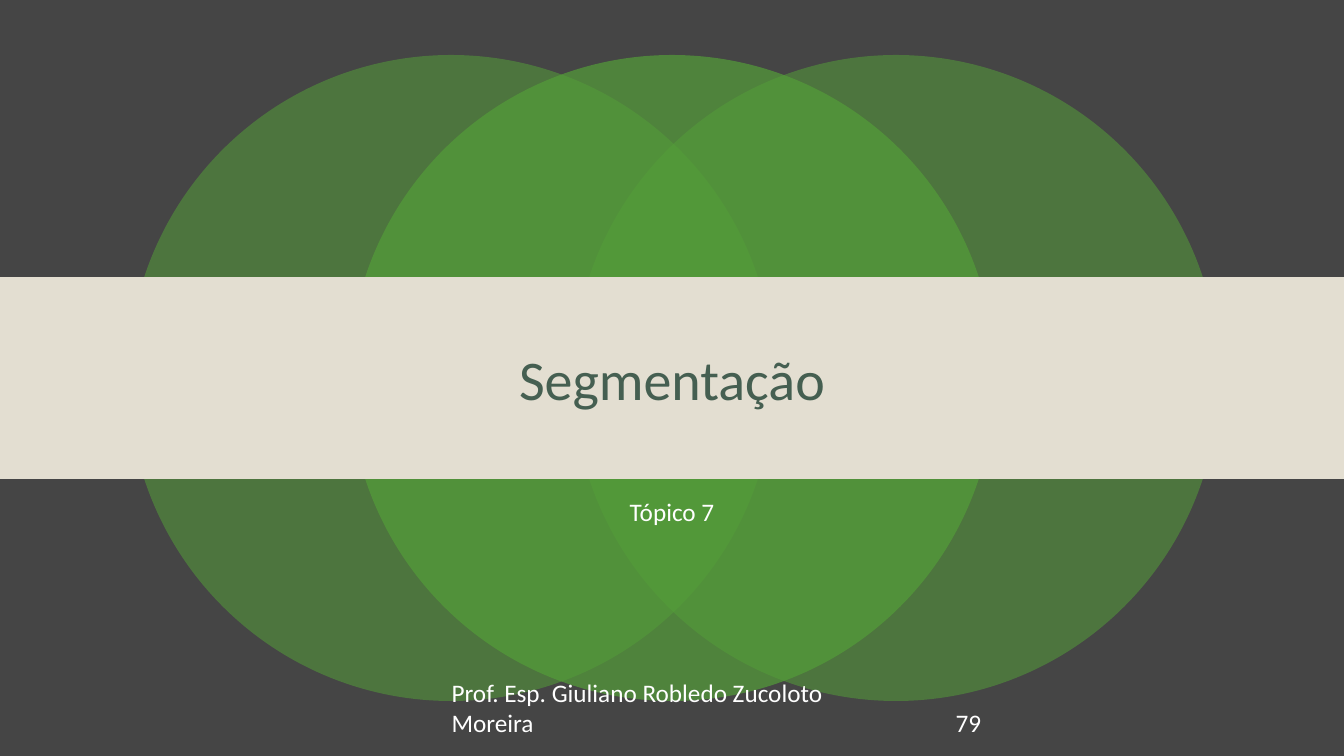
from lxml import etree
from pptx import Presentation
from pptx import util as u
from pptx.dml.color import RGBColor
from pptx.enum import shapes, text
from pptx.oxml.ns import qn

PX = 914400 / 67.2
SLIDE = (1344, 756)
DARK, GREEN, SAND, PINE, WHITE = "454545", "549E39", "E3DED1", "455F51", "FFFFFF"

CIRCLE_TOP, CIRCLE_SIZE = 55, 646
CIRCLES = [(128, 55), (573, 55), (349, 70)]  # left, opacity in percent
BAND = (0, 277, 1344, 202)

LEFT, CENTER = text.PP_ALIGN.LEFT, text.PP_ALIGN.CENTER
TOP, MIDDLE, BOTTOM = (text.MSO_ANCHOR.TOP, text.MSO_ANCHOR.MIDDLE,
                       text.MSO_ANCHOR.BOTTOM)
TEXTS = [
    ("Tópico 7", (168, 496, 1008, 84), 27, WHITE, TOP,
     {"alignment": CENTER, "line_spacing": 0.9}),
    ("Segmentação", (168, 306, 1008, 152), 60, PINE, MIDDLE,
     {"alignment": CENTER, "line_spacing": 0.9}),
    ("Prof. Esp. Giuliano Robledo Zucoloto Moreira", (445, 701, 453, 40),
     27, WHITE, BOTTOM, {"alignment": LEFT}),
    ("79", (949, 701, 302, 40), 27, WHITE, BOTTOM, {"alignment": LEFT}),
]


def emu(lengths):
    return [u.Emu(round(length * PX)) for length in lengths]


def paint(fill, color):
    fill.solid()
    fill.fore_color.rgb = RGBColor.from_string(color)


def add_plain_shape(page, kind, frame, color, opacity=100):
    shape = page.shapes.add_shape(kind, *emu(frame))
    shape.shadow.inherit = False
    shape.line.fill.background()
    paint(shape.fill, color)
    if opacity < 100:
        tone = shape.fill._xPr.find(".//" + qn("a:srgbClr"))
        etree.SubElement(tone, qn("a:alpha"), val=str(opacity * 1000))


def add_label(page, words, frame, size, color, anchor, layout):
    box = page.shapes.add_textbox(*emu(frame)).text_frame
    box.word_wrap = True
    box.vertical_anchor = anchor
    para = box.paragraphs[0]
    for name, value in layout.items():
        setattr(para, name, value)
    span = para.add_run()
    span.text = words
    for name, value in {"name": "Calibri", "size": u.Pt(size)}.items():
        setattr(span.font, name, value)
    span.font.color.rgb = RGBColor.from_string(color)


def main():
    deck = Presentation()
    deck.slide_width, deck.slide_height = emu(SLIDE)
    page = deck.slides.add_slide(deck.slide_layouts[6])
    paint(page.background.fill, DARK)
    for left, opacity in CIRCLES:
        add_plain_shape(page, shapes.MSO_SHAPE.OVAL,
                        (left, CIRCLE_TOP, CIRCLE_SIZE, CIRCLE_SIZE), GREEN, opacity)
    add_plain_shape(page, shapes.MSO_SHAPE.RECTANGLE, BAND, SAND)
    for label in TEXTS:
        add_label(page, *label)
    deck.save("out.pptx")


if __name__ == "__main__":
    main()
